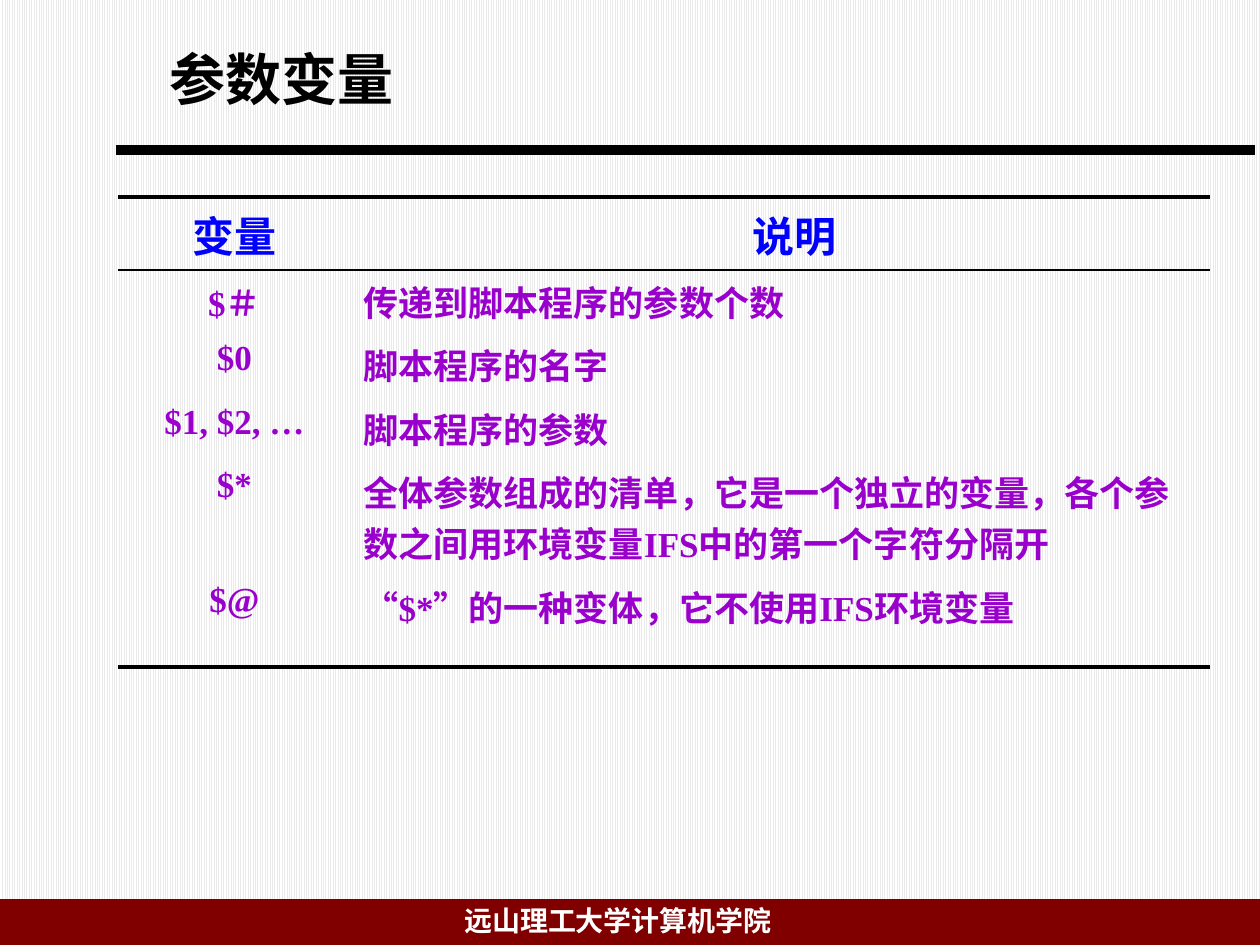
import pptx
import pptx.util
import pptx.dml.color
import pptx.enum.dml
import pptx.enum.shapes
import pptx.enum.text
import pptx.oxml
from lxml import etree

A = "http://schemas.openxmlformats.org/drawingml/2006/main"
SCALE = 914400 / 126
BLACK, WHITE, RED = "000000", "FFFFFF", "800000"
BLUE, PURPLE = "0000FF", "9900CC"
ALIGN = pptx.enum.text.PP_ALIGN
ANCHOR = pptx.enum.text.MSO_ANCHOR


def px(*vals):
    return [pptx.util.Emu(round(v * SCALE)) for v in vals]


def color(code):
    return pptx.dml.color.RGBColor.from_string(code)


deck = pptx.Presentation()
deck.slide_width, deck.slide_height = px(1260, 945)
slide = deck.slides.add_slide(deck.slide_layouts[5])
shapes = slide.shapes

# Striped background
back = slide.background.fill
back.patterned()
back.pattern = pptx.enum.dml.MSO_PATTERN.LIGHT_VERTICAL
back.fore_color.rgb = color("EAEAEA")
back.back_color.rgb = color(WHITE)

# Rule under the title
rule = shapes.add_connector(pptx.enum.shapes.MSO_CONNECTOR.STRAIGHT,
                            *px(116, 150, 1255, 150))
rule.line.color.rgb = color(BLACK)
rule.line.width = pptx.util.Pt(6)
etree.SubElement(rule._element.spPr, f"{{{A}}}effectLst")

# Footer band
band = shapes.add_shape(pptx.enum.shapes.MSO_SHAPE.RECTANGLE, *px(0, 899, 1260, 46))
band.shadow.inherit = False
band.fill.solid()
band.fill.fore_color.rgb = color(RED)
band.line.fill.background()
foot = shapes.add_textbox(*px(452, 897, 418, 46))

# Title
title = shapes.title
title.left, title.top, title.width, title.height = px(157, 38, 1040, 158)

# Table of variables
rows = [
    ("变量", "说明"),
    ("$＃", "传递到脚本程序的参数个数"),
    ("$0", "脚本程序的名字"),
    ("$1, $2, …", "脚本程序的参数"),
    ("$*", "全体参数组成的清单，它是一个独立的变量，各个参数之间用环境变量IFS中的第一个字符分隔开"),
    ("$@", "“$*”的一种变体，它不使用IFS环境变量"),
]
last = len(rows) - 1
table = shapes.add_table(len(rows), 2, *px(118, 197, 1092, 470)).table
table.first_row = table.horz_banding = False
for col, width in zip(table.columns, px(233, 859)):
    col.width = width
for row, height in zip(table.rows, px(73, 63, 64, 63, 115, 92)):
    row.height = height

# Each text: frame, words, size, colour, alignment, space before
texts = [
    (title.text_frame, "参数变量", 32, BLACK, ALIGN.LEFT, 0),
    (foot.text_frame, "远山理工大学计算机学院", 16, WHITE, ALIGN.LEFT, 0),
]
edges = {0: {"T": 2.25, "B": 1}, 1: {"T": 1}, last: {"B": 2.25}}
for r, words in enumerate(rows):
    size, ink = (24, BLUE) if r == 0 else (20, PURPLE)
    for c, word in enumerate(words):
        cell = table.cell(r, c)
        side = ALIGN.LEFT if r and c else ALIGN.CENTER
        texts.append((cell.text_frame, word, size, ink, side, 4))
        cell.fill.background()
        props = cell._tc.get_or_add_tcPr()
        for n, edge in enumerate("LRTB"):
            wide = edges.get(r, {}).get(edge, 0)
            paint = (f'<a:solidFill><a:srgbClr val="{BLACK}"/></a:solidFill>'
                     if wide else "<a:noFill/>")
            props.insert(n, pptx.oxml.parse_xml(
                f'<a:ln{edge} xmlns:a="{A}" w="{round(wide * 12700)}">{paint}</a:ln{edge}>'))
table.cell(0, 1).margin_left = px(41)[0]

for frame, word, size, ink, side, gap in texts:
    frame.word_wrap = True
    frame.vertical_anchor = ANCHOR.TOP
    para = frame.paragraphs[0]
    para.alignment = side
    para.space_before = pptx.util.Pt(gap)
    run = para.add_run()
    run.text = word
    look = {"name": "Times New Roman", "size": pptx.util.Pt(size), "bold": True}
    for key, value in look.items():
        setattr(run.font, key, value)
    run.font.color.rgb = color(ink)

deck.save("out.pptx")
